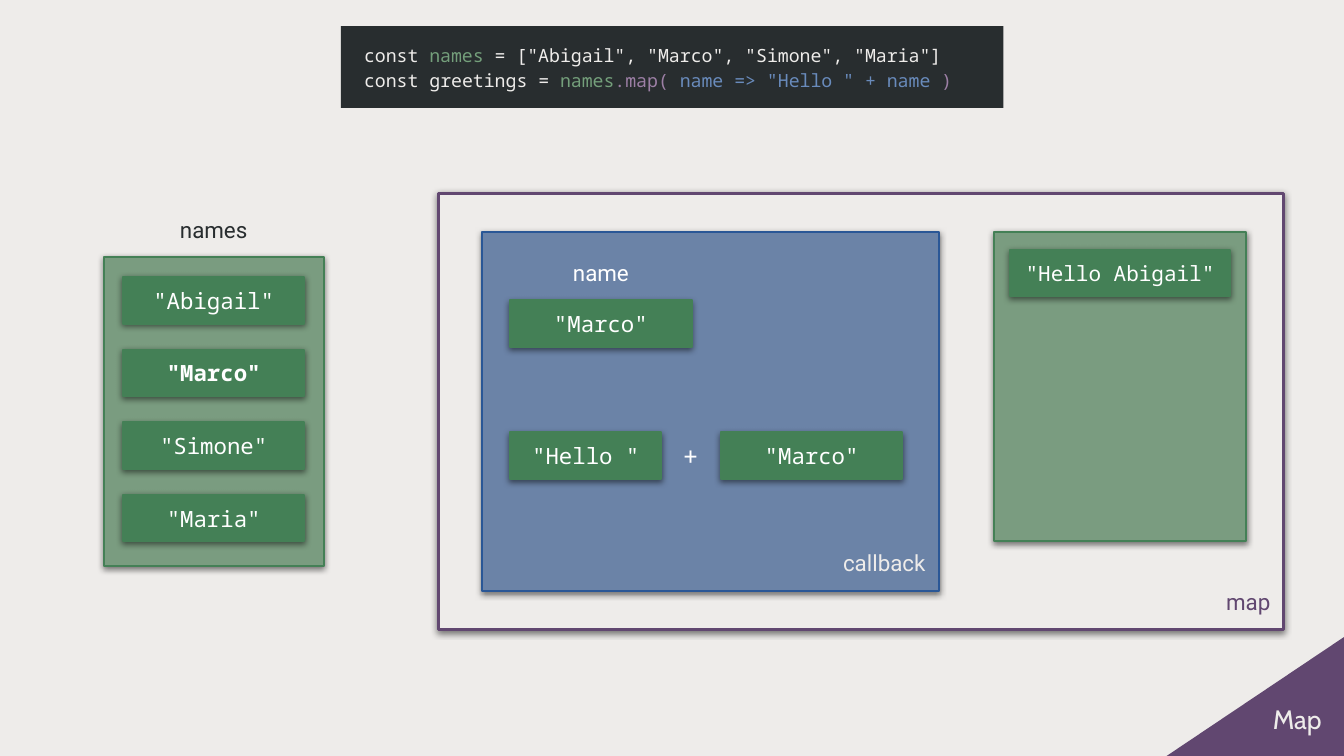
import pptx
import pptx.util
import pptx.dml.color
import pptx.enum.shapes
import pptx.enum.text
import pptx.oxml
import pptx.oxml.ns
from lxml import etree

W, H = 13.33, 7.5
MONO, SANS = "Noto Sans Mono", "Roboto"
PAPER, INK, WHITE, PURPLE = "EEECEA", "282D2F", "FFFFFF", "614770"
GREEN, PALE_GREEN, BLUE, NAVY = "448056", "7A9C80", "6B83A7", "2A5796"
CODE_GREEN, CODE_PURPLE, CODE_BLUE = "749F7B", "9C7FA5", "698BBC"
CHIP_W, CHIP_H, LABEL_H, BIG_LABEL_H = 13.5, 6.13, 7.2, 7.87
CHIP_PITCH = 9.6
ALIGN = pptx.enum.text.PP_ALIGN
SHAPE = pptx.enum.shapes.MSO_SHAPE
SHADOW = (
    f'<a:effectLst {pptx.oxml.ns.nsdecls("a")}>'
    '<a:outerShdw blurRad="57150" dist="19050" dir="5400000" algn="bl" rotWithShape="0">'
    '<a:srgbClr val="000000"><a:alpha val="50000"/></a:srgbClr>'
    '</a:outerShdw></a:effectLst>'
)


def rgb(color):
    return pptx.dml.color.RGBColor.from_string(color)


def place(x, y, w, h):
    """Turn percentages of the slide's width and height into lengths."""
    inch = pptx.util.Inches
    return inch(x * W / 100), inch(y * H / 100), inch(w * W / 100), inch(h * H / 100)


def set_insets(tf):
    tf.word_wrap = True
    tf.margin_left = tf.margin_right = pptx.util.Inches(0.13)
    tf.margin_top = tf.margin_bottom = pptx.util.Inches(0.13)


def add_run(p, text, size, font, color, bold=False):
    r = p.add_run()
    r.text = text
    r.font.size = pptx.util.Pt(size)
    r.font.name = font
    r.font.color.rgb = rgb(color)
    r.font.bold = bold


def add_text(s, box, text, size=16, font=SANS, color=WHITE, align=ALIGN.CENTER):
    tf = s.shapes.add_textbox(*place(*box)).text_frame
    set_insets(tf)
    p = tf.paragraphs[0]
    p.alignment = align
    add_run(p, text, size, font, color)


def add_panel(s, box, fill, line=None, width=1.5, kind=SHAPE.RECTANGLE):
    """Add a filled shape; an outlined one also casts a soft shadow."""
    sp = s.shapes.add_shape(kind, *place(*box))
    sp.shadow.inherit = False
    sp.fill.solid()
    sp.fill.fore_color.rgb = rgb(fill)
    if line is None:
        sp.line.fill.background()
        return sp
    sp.line.color.rgb = rgb(line)
    sp.line.width = pptx.util.Pt(width)
    effects = sp.element.spPr.find(pptx.oxml.ns.qn("a:effectLst"))
    effects.getparent().replace(effects, etree.fromstring(SHADOW))
    return sp


def add_chip(s, x, y, text, w=CHIP_W, size=16, bold=False):
    tf = add_panel(s, (x, y, w, CHIP_H), GREEN, GREEN).text_frame
    set_insets(tf)
    tf.vertical_anchor = pptx.enum.text.MSO_ANCHOR.MIDDLE
    p = tf.paragraphs[0]
    p.alignment = ALIGN.CENTER
    add_run(p, text, size, MONO, WHITE, bold)


def add_corner_label(s, box, text, w, color):
    """Write a label in the bottom right corner of a box."""
    x, y, box_w, box_h = box
    add_text(s, (x + box_w - w, y + box_h - LABEL_H, w, LABEL_H), text,
             color=color, align=ALIGN.RIGHT)


def title_corner(s, box, title):
    x, y, w, h = box
    triangle = add_panel(s, box, PURPLE, kind=SHAPE.RIGHT_TRIANGLE)
    triangle.element.spPr.find(pptx.oxml.ns.qn("a:xfrm")).set("flipH", "1")
    add_text(s, (x + 2.62, y + 6.93, 9.9, BIG_LABEL_H), title,
             size=19, font="Cabin", color=PAPER, align=ALIGN.RIGHT)


def code_block(s, box, lines):
    x, y, w, h = box
    add_panel(s, box, INK)
    tf = s.shapes.add_textbox(*place(x + 0.75, y + 0.27, w - 2.03, h - 0.93)).text_frame
    set_insets(tf)
    p = tf.paragraphs[0]
    p.line_spacing = 1.15
    for i, line in enumerate(lines):
        if i:
            p.add_line_break()
        for text, color in line:
            add_run(p, text, 13, MONO, color)


def names_list(s, box, names, current):
    x, y, w, h = box
    add_panel(s, box, PALE_GREEN, GREEN)
    for i, name in enumerate(names):
        add_chip(s, x + 1.42, y + 2.67 + i * CHIP_PITCH, f'"{name}"', bold=name == current)
    add_text(s, (x, y - LABEL_H, w, LABEL_H), "names", color=INK)


def map_frame(s, box):
    add_panel(s, box, PAPER, PURPLE, 2.25)
    add_corner_label(s, box, "map", 7.2, PURPLE)


def callback_panel(s, box, current):
    x, y, w, h = box
    left, name_y, sum_y = x + 2.1, y + 9.07, y + 26.53
    add_panel(s, box, BLUE, NAVY)
    add_corner_label(s, box, "callback", 12.6, PAPER)
    add_text(s, (left, name_y - LABEL_H, CHIP_W, LABEL_H), "name")
    add_chip(s, left, name_y, f'"{current}"')
    add_chip(s, left, sum_y, '"Hello "', w=11.25)
    add_chip(s, x + 17.78, sum_y, f'"{current}"')
    add_text(s, (x + 13.95, sum_y - 0.8, 3.23, BIG_LABEL_H), "+",
             size=19, font=MONO, align=ALIGN.LEFT)


def result_list(s, box, greetings):
    x, y, w, h = box
    add_panel(s, box, PALE_GREEN, GREEN)
    for i, greeting in enumerate(greetings):
        add_chip(s, x + 1.2, y + 2.4 + i * CHIP_PITCH, f'"{greeting}"', w=w - 2.4, size=15)


def main():
    prs = pptx.Presentation()
    prs.slide_width = pptx.util.Inches(W)
    prs.slide_height = pptx.util.Inches(H)
    s = prs.slides.add_slide(prs.slide_layouts[6])
    s.background.fill.solid()
    s.background.fill.fore_color.rgb = rgb(PAPER)

    names, current = ["Abigail", "Marco", "Simone", "Maria"], "Marco"
    title_corner(s, (86.8, 84.27, 13.2, 15.73), "Map")
    code_block(s, (25.36, 3.47, 49.29, 10.8), [
        [("const ", PAPER), ("names", CODE_GREEN),
         (' = ["Abigail", "Marco", "Simone", "Maria"]', PAPER)],
        [("const greetings = ", PAPER), ("names", CODE_GREEN), (".map( ", CODE_PURPLE),
         ('name => "Hello " + name ', CODE_BLUE), (")", CODE_PURPLE)],
    ])
    map_frame(s, (32.63, 25.6, 62.87, 57.73))
    names_list(s, (7.73, 34, 16.35, 40.93), names, current)
    callback_panel(s, (35.86, 30.67, 33.98, 47.47), current)
    result_list(s, (73.97, 30.67, 18.75, 40.93), ["Hello Abigail"])
    prs.save("out.pptx")


if __name__ == "__main__":
    main()
